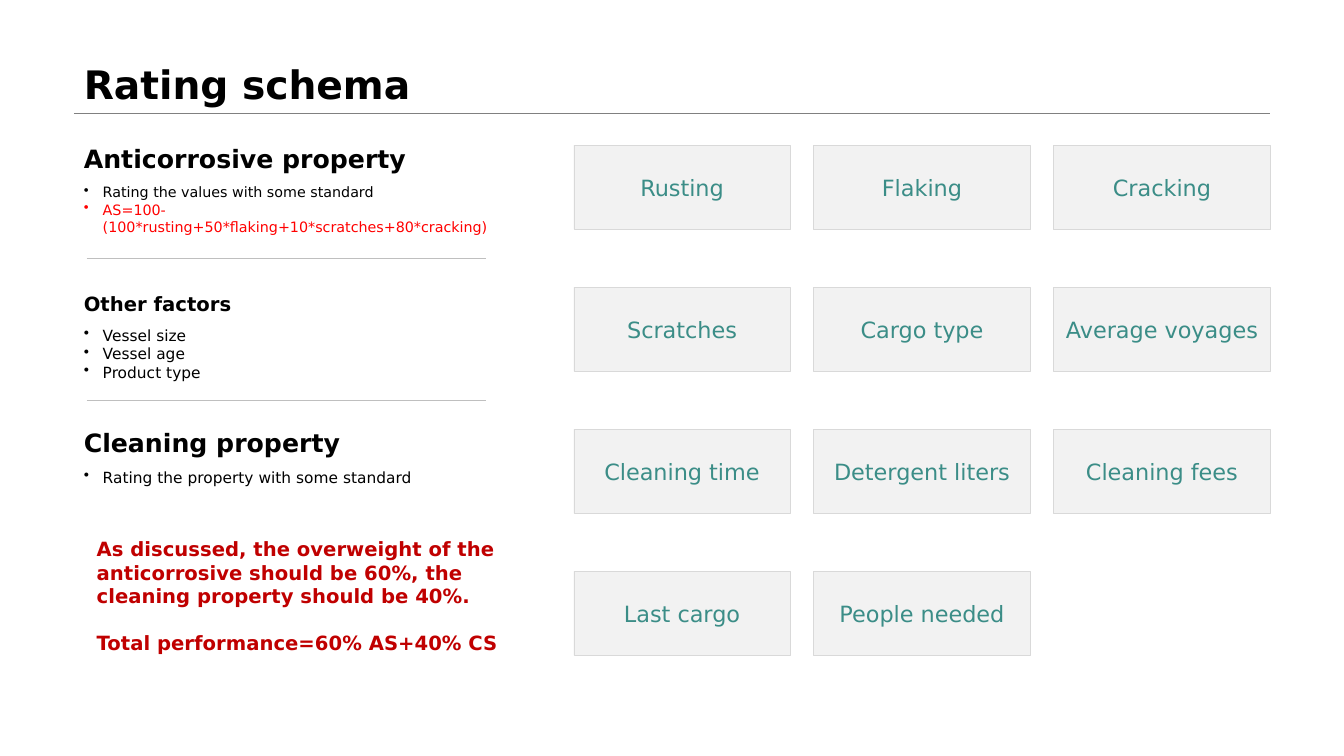
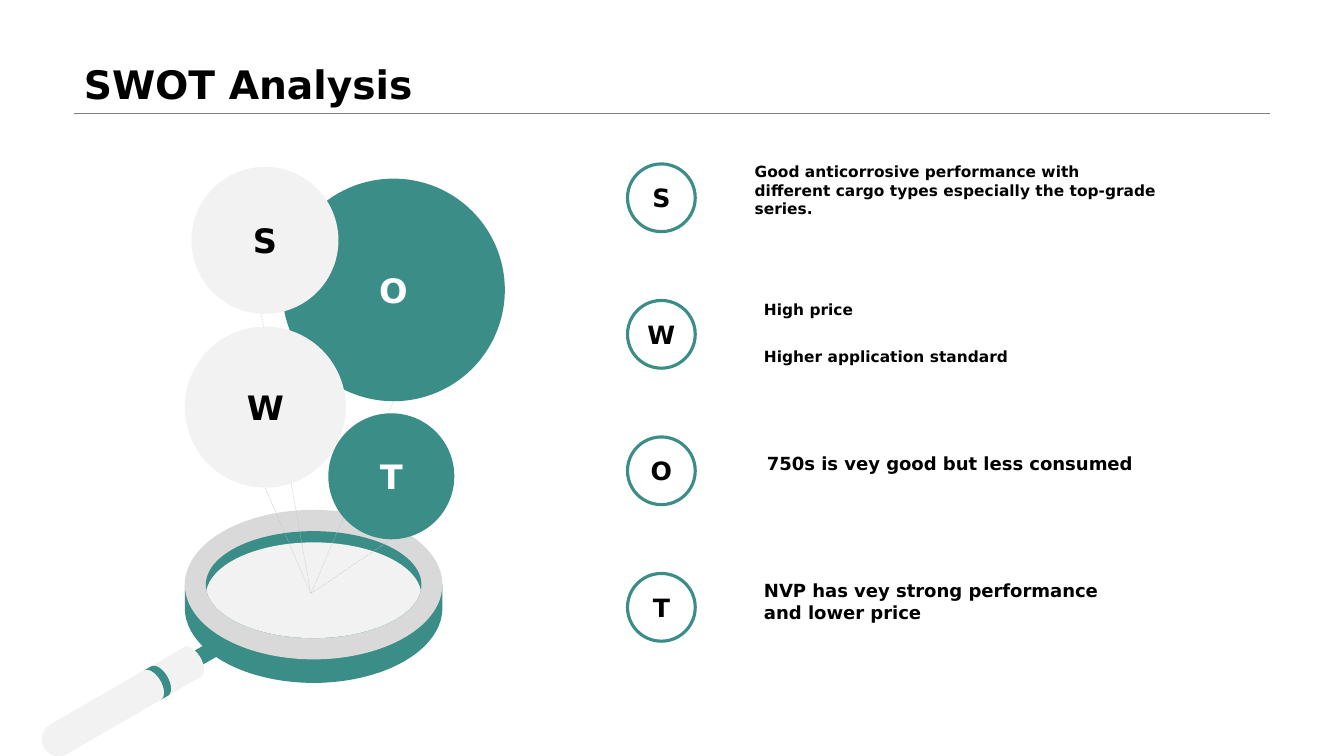
import math
from dataclasses import dataclass
from typing import Iterable, Optional

from pptx import Presentation
from pptx import util as u
from pptx.dml.color import RGBColor
from pptx.enum import dml, shapes, text
from pptx.oxml.ns import qn
from lxml import etree

FONT = "DejaVu Sans"
COLOURS = {
    "black": "000000",
    "white": "FFFFFF",
    "teal": "3B8D87",
    "pale": "F2F2F2",
    "ring": "D9D9D9",
    "divider": "BFBFBF",
    "rule": "808080",
    "red": "FF0000",
    "dark_red": "C00000",
}
Point = tuple[float, float]


@dataclass(frozen=True)
class Box:
    left: float
    top: float
    width: float
    height: float

    def lengths(self) -> list[u.Length]:
        return [u.Pt(value) for value in (self.left, self.top, self.width, self.height)]


@dataclass(frozen=True)
class Style:
    size: float
    colour: str = "black"
    bold: bool = True


@dataclass(frozen=True)
class Section:
    heading: str
    heading_size: float
    bullets: tuple[str, ...]
    bullet_size: float


@dataclass(frozen=True)
class Bubble:
    letter: str
    left: float
    top: float
    diameter: float
    fill: str
    colour: str


@dataclass(frozen=True)
class Finding:
    words: str
    box: Box
    size: float
    anchor: text.MSO_ANCHOR = text.MSO_ANCHOR.MIDDLE
    line_spacing: float = 1.0


SECTIONS = (
    Section(
        "Anticorrosive property", 18,
        ("Rating the values with some standard",
         "AS=100-(100*rusting+50*flaking+10*scratches+80*cracking)"), 10.2,
    ),
    Section("Other factors", 14, ("Vessel size", "Vessel age", "Product type"), 11),
    Section("Cleaning property", 18, ("Rating the property with some standard",), 11),
)
TILES = (
    "Rusting", "Flaking", "Cracking",
    "Scratches", "Cargo type", "Average voyages",
    "Cleaning time", "Detergent liters", "Cleaning fees",
    "Last cargo", "People needed",
)
NOTE = (
    "As discussed, the overweight of the anticorrosive should be 60%, "
    "the cleaning property should be 40%.",
    "Total performance=60% AS+40% CS",
)
BUBBLES = (
    Bubble("O", 201.6, 127.6, 159, "teal", "white"),
    Bubble("S", 136.8, 119.2, 105, "pale", "black"),
    Bubble("W", 132, 233.3, 115, "pale", "black"),
    Bubble("T", 234.5, 295.2, 90, "teal", "white"),
)
FINDINGS = (
    Finding("Good anticorrosive performance with different cargo types "
            "especially the top-grade series.", Box(532, 119.5, 303, 32.4), 11),
    Finding("High price", Box(538.6, 204.5, 260.6, 32.4), 11),
    Finding("Higher application standard", Box(538.6, 237.6, 303, 32.4), 11,
            text.MSO_ANCHOR.TOP, 1.5),
    Finding("750s is vey good but less consumed", Box(540.7, 314.6, 283, 32.4), 12.9),
    Finding("NVP has vey strong performance and lower price",
            Box(538.6, 413.3, 260.6, 32.4), 12.9),
)
BEAMS = ((186.5, 224), (281, 286.5), (189.4, 348.5), (279.4, 385.2))
HUB = (222, 424)


def rgb(name: str) -> RGBColor:
    return RGBColor.from_string(COLOURS[name])


def set_font(paragraph, style: Style) -> None:
    font = paragraph.font
    font.name = FONT
    font.size = u.Pt(style.size)
    font.bold = style.bold
    font.color.rgb = rgb(style.colour)


def add_bullet(paragraph, indent: float) -> None:
    properties = paragraph._p.get_or_add_pPr()
    properties.set("marL", str(u.Pt(indent)))
    properties.set("indent", str(-u.Pt(indent)))
    etree.SubElement(properties, qn("a:buChar")).set("char", "•")


def add_text(slide, box: Box, lines: Iterable[str], style: Style,
             anchor=text.MSO_ANCHOR.TOP, bullet_indent: float = 0):
    frame = slide.shapes.add_textbox(*box.lengths()).text_frame
    frame.word_wrap = True
    frame.vertical_anchor = anchor
    for index, line in enumerate(lines):
        paragraph = frame.add_paragraph() if index else frame.paragraphs[0]
        paragraph.text = line
        if bullet_indent:
            add_bullet(paragraph, bullet_indent)
        set_font(paragraph, style)
    return frame.paragraphs


def paint(shape, fill: Optional[str], line: Optional[str] = None, width: float = 0.25) -> None:
    shape.shadow.inherit = False
    if fill:
        shape.fill.solid()
        shape.fill.fore_color.rgb = rgb(fill)
    else:
        shape.fill.background()
    if line:
        shape.line.color.rgb = rgb(line)
        shape.line.width = u.Pt(width)
    else:
        shape.line.fill.background()


def add_label(shape, words: str, style: Style) -> None:
    frame = shape.text_frame
    frame.margin_left = frame.margin_right = 0
    frame.vertical_anchor = text.MSO_ANCHOR.MIDDLE
    paragraph = frame.paragraphs[0]
    paragraph.text = words
    paragraph.alignment = text.PP_ALIGN.CENTER
    set_font(paragraph, style)


def add_oval(slide, box: Box):
    return slide.shapes.add_shape(shapes.MSO_SHAPE.OVAL, *box.lengths())


def add_line(slide, start: Point, end: Point, colour: str, dashed: bool = False) -> None:
    ends = [u.Pt(value) for value in (*start, *end)]
    connector = slide.shapes.add_connector(shapes.MSO_CONNECTOR.STRAIGHT, *ends)
    connector.line.color.rgb = rgb(colour)
    connector.line.width = u.Pt(0.25)
    if dashed:
        connector.line.dash_style = dml.MSO_LINE.DASH
    etree.SubElement(connector._element.spPr, qn("a:effectLst"))


def arc(centre: Point, radii: Point, first: float, last: float) -> list[Point]:
    steps = 40
    angles = [math.radians(first + (last - first) * step / steps) for step in range(steps + 1)]
    return [(centre[0] + radii[0] * math.cos(angle), centre[1] + radii[1] * math.sin(angle))
            for angle in angles]


def tilt(points: list[Point], origin: Point, degrees: float = -30) -> list[Point]:
    cosine, sine = math.cos(math.radians(degrees)), math.sin(math.radians(degrees))
    return [(origin[0] + x * cosine - y * sine, origin[1] + x * sine + y * cosine)
            for x, y in points]


def add_outline(slide, points: list[Point], fill: str) -> None:
    corners = [(u.Pt(x), u.Pt(y)) for x, y in points]
    builder = slide.shapes.build_freeform(*corners[0])
    builder.add_line_segments(corners[1:])
    paint(builder.convert_to_shape(), fill)


def add_titled_slide(presentation, title: str):
    slide = presentation.slides.add_slide(presentation.slide_layouts[6])
    add_line(slide, (52.8, 81), (907.2, 81), "rule")
    paragraphs = add_text(slide, Box(52.8, 0, 854.4, 81), [title], Style(28),
                          text.MSO_ANCHOR.BOTTOM)
    paragraphs[0].line_spacing = 0.9
    return slide


def build_rating_slide(presentation) -> None:
    slide = add_titled_slide(presentation, "Rating schema")
    row_pitch, column_pitch, columns = 101.5, 171.4, 3
    for index, words in enumerate(TILES):
        row, column = divmod(index, columns)
        box = Box(409.8 + column * column_pitch, 103.7 + row * row_pitch, 154.8, 60)
        tile = slide.shapes.add_shape(shapes.MSO_SHAPE.RECTANGLE, *box.lengths())
        paint(tile, "pale", "ring")
        add_label(tile, words, Style(16, "teal", False))
    for row, section in enumerate(SECTIONS):
        offset = row * row_pitch
        add_text(slide, Box(52.8, 89 + offset, 307.4, 38.6), [section.heading],
                 Style(section.heading_size), text.MSO_ANCHOR.BOTTOM)
        bullets = add_text(slide, Box(52.8, 127.6 + offset, 307.4, 51.8), section.bullets,
                           Style(section.bullet_size, bold=False), bullet_indent=13.5)
        for paragraph in bullets:
            if paragraph.text.startswith("AS="):
                paragraph.font.color.rgb = rgb("red")
        if row:
            divider = 83 + offset
            add_line(slide, (62, divider), (347, divider), "divider")
    note = add_text(slide, Box(62, 380, 332, 92.2), NOTE, Style(14, "dark_red"))
    note[1].space_before = u.Pt(17)


def add_magnifier(slide) -> None:
    x, y = 224, 417.6
    rim, hole, depth, lens_drop = (92, 53.4), (77, 38.2), 16.8, 8
    body = arc((x, y + depth), rim, 0, 180) + [(x - rim[0], y), (x + rim[0], y)]
    add_outline(slide, body, "teal")
    for (across, down), fill in ((rim, "ring"), (hole, "teal")):
        paint(add_oval(slide, Box(x - across, y - down, 2 * across, 2 * down)), fill)
    meet = math.degrees(math.asin(lens_drop / 2 / hole[1]))
    lens = (arc((x, y), hole, meet, 180 - meet)
            + arc((x, y + lens_drop), hole, 180 + meet, 360 - meet))
    add_outline(slide, lens, "pale")

    neck = arc((30.3, 0), (5.8, 5.8), -90, 90) + arc((0, 0), (5.8, 5.8), 90, 270)
    add_outline(slide, tilt(neck, (128.2, 477.7)), "teal")
    grip_end, cap, radius = (42, 528), (6.5, 12.1), (12.1, 12.1)
    grip = arc((110.3, 0), cap, -90, 90) + arc((0, 0), radius, 90, 270)
    add_outline(slide, tilt(grip, grip_end), "pale")
    band = arc((83, 0), cap, -90, 90) + arc((77.3, 0), cap, 90, -90)
    add_outline(slide, tilt(band, grip_end), "teal")


def build_swot_slide(presentation) -> None:
    slide = add_titled_slide(presentation, "SWOT Analysis")
    add_magnifier(slide)
    for start in BEAMS:
        add_line(slide, start, HUB, "divider", dashed=True)
    for bubble in BUBBLES:
        oval = add_oval(slide, Box(bubble.left, bubble.top, bubble.diameter, bubble.diameter))
        paint(oval, bubble.fill)
        add_label(oval, bubble.letter, Style(24, bubble.colour))
    for row, letter in enumerate("SWOT"):
        badge = add_oval(slide, Box(448.2, 117.1 + row * 97.5, 48.4, 48.4))
        paint(badge, None, "teal", 2.25)
        add_label(badge, letter, Style(18))
    for finding in FINDINGS:
        paragraphs = add_text(slide, finding.box, [finding.words], Style(finding.size),
                              finding.anchor)
        paragraphs[0].line_spacing = finding.line_spacing


def main() -> None:
    presentation = Presentation()
    presentation.slide_width = u.Pt(960)
    presentation.slide_height = u.Pt(540)
    build_rating_slide(presentation)
    build_swot_slide(presentation)
    presentation.save("out.pptx")


if __name__ == "__main__":
    main()
